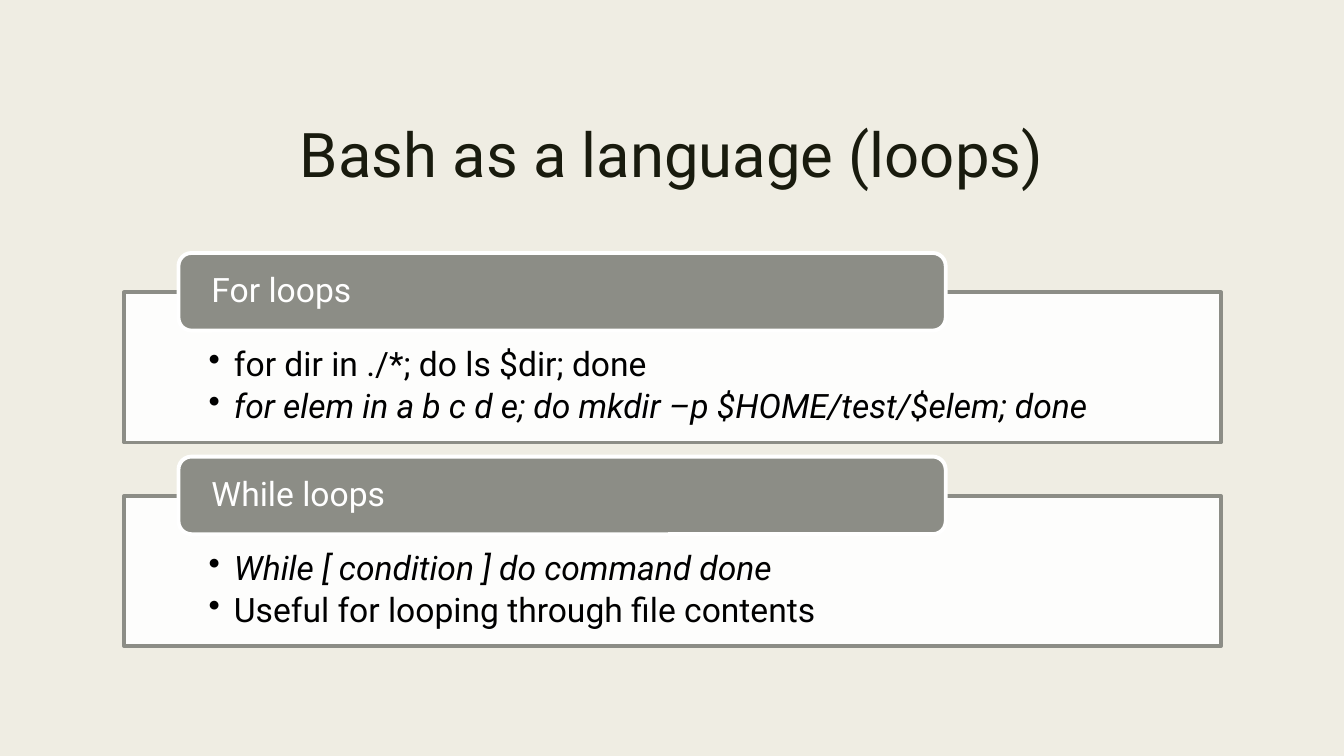
from dataclasses import dataclass

from lxml import etree
from pptx import Presentation
from pptx.dml.color import RGBColor
from pptx.enum import shapes, text
from pptx.oxml.ns import qn
from pptx.util import Inches, Pt


@dataclass(frozen=True)
class Theme:
    font: str = "Roboto"
    background: str = "EFEDE3"
    title: str = "191B0E"
    accent: str = "8C8D86"
    light: str = "FFFFFF"
    body: str = "000000"
    title_size: int = 44
    body_size: int = 24
    line_width: float = 2.75


class LoopSlide:
    def __init__(self, prs, theme):
        self.theme = theme
        self.s = prs.slides.add_slide(prs.slide_layouts[6])
        fill = self.s.background.fill
        fill.solid()
        fill.fore_color.rgb = RGBColor.from_string(theme.background)

    def frame(self, sp, anchor, margins=(0.1, 0.05, 0.1, 0.05)):
        tf = sp.text_frame
        tf.word_wrap = True
        tf.vertical_anchor = anchor
        (tf.margin_left, tf.margin_top,
         tf.margin_right, tf.margin_bottom) = map(Inches, margins)
        return tf

    def style(self, p, color, size, align=text.PP_ALIGN.LEFT, italic=False):
        p.alignment = align
        p.line_spacing = 0.9
        for r in p.runs:
            r.font.name = self.theme.font
            r.font.size = Pt(size)
            r.font.italic = italic
            r.font.color.rgb = RGBColor.from_string(color)

    def box(self, kind, at, fill, line):
        sp = self.s.shapes.add_shape(kind, *map(Inches, at))
        sp.shadow.inherit = False
        sp.fill.solid()
        sp.fill.fore_color.rgb = RGBColor.from_string(fill)
        sp.line.color.rgb = RGBColor.from_string(line)
        sp.line.width = Pt(self.theme.line_width)
        return sp

    def title(self, words):
        sp = self.s.shapes.add_textbox(*map(Inches, (0.7, 0.75, 11.93, 1.62)))
        tf = self.frame(sp, text.MSO_ANCHOR.MIDDLE)
        tf.text = words
        self.style(tf.paragraphs[0], self.theme.title, self.theme.title_size,
                   text.PP_ALIGN.CENTER)

    def panel(self, top, bullets):
        th = self.theme
        sp = self.box(shapes.MSO_SHAPE.RECTANGLE, (1.23, top, 10.88, 1.49),
                      th.light, th.accent)
        # Slightly transparent fill
        color = sp.fill._xPr.find(qn("a:solidFill"))[0]
        etree.SubElement(color, qn("a:alpha")).set("val", "90000")

        tf = self.frame(sp, text.MSO_ANCHOR.TOP, (0.84, 0.55, 0.84, 0.19))
        tf.text = "\n".join(words for words, _ in bullets)
        for p, (_, italic) in zip(tf.paragraphs, bullets):
            self.style(p, th.body, th.body_size, italic=italic)
            p.space_after = Pt(4)
            pPr = p._p.get_or_add_pPr()
            pPr.set("marL", str(Inches(0.25)))
            pPr.set("indent", str(Inches(-0.25)))
            etree.SubElement(pPr, qn("a:buChar")).set("char", "•")

    def tab(self, top, words):
        th = self.theme
        sp = self.box(shapes.MSO_SHAPE.ROUNDED_RECTANGLE,
                      (1.77, top, 7.61, 0.77), th.accent, th.light)
        tf = self.frame(sp, text.MSO_ANCHOR.MIDDLE, (0.29, 0, 0.29, 0))
        tf.text = words
        self.style(tf.paragraphs[0], th.light, th.body_size)


# Each section: heading, then (bullet, italic) pairs
SECTIONS = [
    ("For loops", [
        ("for dir in ./*; do ls $dir; done", False),
        ("for elem in a b c d e; do mkdir –p $HOME/test/$elem; done", True),
    ]),
    ("While loops", [
        ("While [ condition ] do command done", True),
        ("Useful for looping through file contents", False),
    ]),
]
FIRST_TOP, PITCH, TAB_OVERLAP = 2.9, 2.02, 0.39


def main():
    prs = Presentation()
    prs.slide_width, prs.slide_height = Inches(13.33), Inches(7.5)
    slide = LoopSlide(prs, Theme())

    # Title
    slide.title("Bash as a language (loops)")

    # Panels with heading tabs over their top edges
    for i, (heading, bullets) in enumerate(SECTIONS):
        top = FIRST_TOP + i * PITCH
        slide.panel(top, bullets)
        slide.tab(top - TAB_OVERLAP, heading)

    prs.save("out.pptx")


if __name__ == "__main__":
    main()
